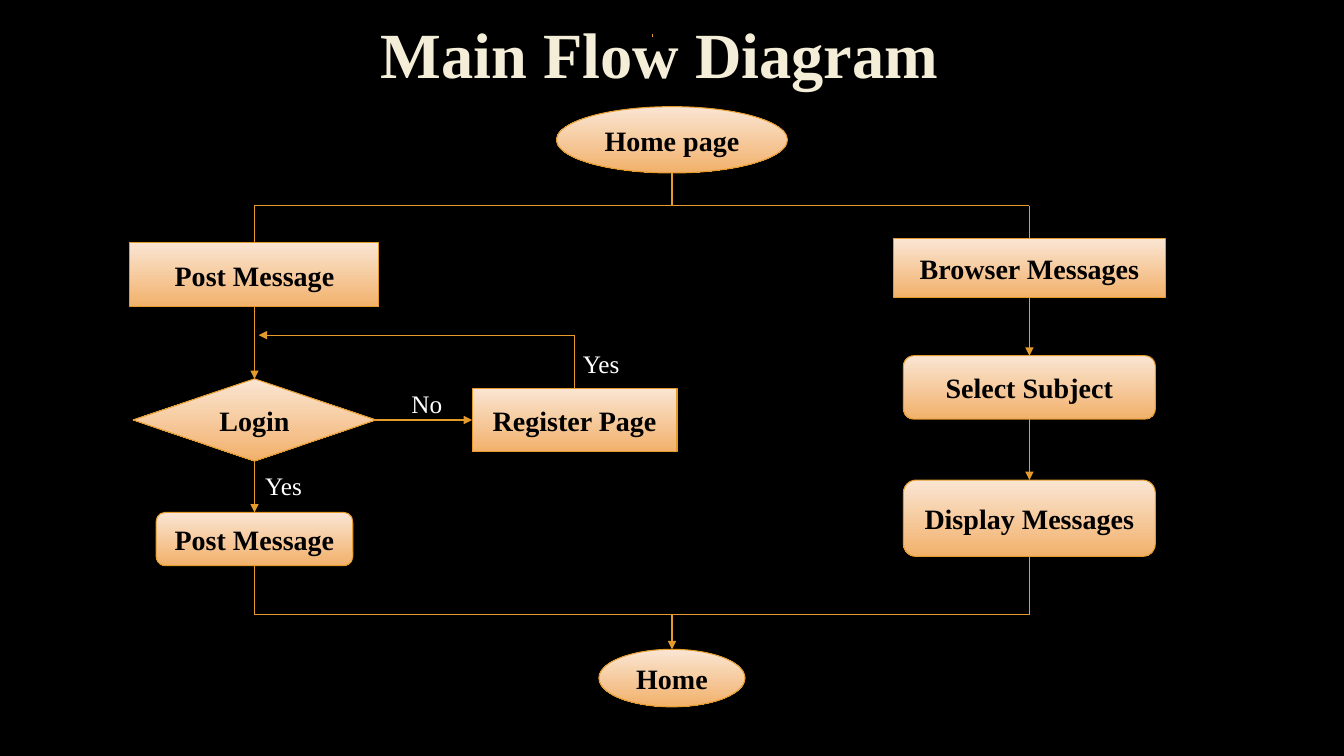
from dataclasses import dataclass

from pptx import Presentation
from pptx.dml.color import RGBColor
from pptx.enum.shapes import MSO_CONNECTOR, MSO_SHAPE
from pptx.enum.text import MSO_ANCHOR, MSO_AUTO_SIZE, PP_ALIGN
from pptx.oxml.ns import qn
from pptx.util import Inches, Pt
from lxml import etree

STRAIGHT = MSO_CONNECTOR.STRAIGHT
OVAL, RECTANGLE = MSO_SHAPE.OVAL, MSO_SHAPE.RECTANGLE
ROUNDED, DIAMOND = MSO_SHAPE.ROUNDED_RECTANGLE, MSO_SHAPE.DIAMOND
MIDDLE, CENTER, LEFT_ALIGN = MSO_ANCHOR.MIDDLE, PP_ALIGN.CENTER, PP_ALIGN.LEFT
NO_AUTOFIT = MSO_AUTO_SIZE.NONE
TOP, LEFT, BOTTOM, RIGHT = range(4)
TITLE_ONLY = 5
COLUMNS, ROWS = 160, 90
WIDTH, HEIGHT = Inches(13.33), Inches(7.5)


@dataclass(frozen=True)
class Theme:
    font: str = "Times New Roman"
    background: str = "000000"
    title: str = "F4EDD8"
    node_text: str = "000000"
    label: str = "FFFFFF"
    line: str = "E59B2C"
    gradient: tuple = ("FAE5D3", "F2B16B")
    title_size: int = 46
    node_size: int = 20
    label_size: int = 18
    line_width: float = 0.75


THEME = Theme()


@dataclass(frozen=True)
class Box:
    left: float
    top: float
    width: float
    height: float

    def point(self, column, row):
        return (round((self.left + column) * WIDTH / COLUMNS),
                round((self.top + row) * HEIGHT / ROWS))

    def area(self, column, row, width, height):
        left, top = self.point(column, row)
        right, bottom = self.point(column + width, row + height)
        return left, top, right - left, bottom - top


def write(shape, text, size, color, bold=True, alignment=CENTER):
    paragraph = shape.text_frame.paragraphs[0]
    paragraph.alignment = alignment
    run = paragraph.add_run()
    run.text = text
    run.font.name = THEME.font
    run.font.size = Pt(size)
    run.font.bold = bold
    run.font.color.rgb = RGBColor.from_string(color)
    return paragraph


def add_node(slide, box, kind, text, center, top, width, height):
    area = box.area(center - width / 2, top, width, height)
    shape = slide.shapes.add_shape(kind, *area)
    shape.shadow.inherit = False
    shape.fill.gradient()
    shape.fill.gradient_angle = 270
    for position, (stop, color) in enumerate(zip(shape.fill.gradient_stops, THEME.gradient)):
        stop.position = position
        stop.color.rgb = RGBColor.from_string(color)
    shape.line.color.rgb = RGBColor.from_string(THEME.line)
    shape.line.width = Pt(THEME.line_width)
    shape.text_frame.vertical_anchor = MIDDLE
    write(shape, text, THEME.node_size, THEME.node_text)
    return shape


def add_label(slide, box, text, column, row):
    shape = slide.shapes.add_textbox(*box.area(column, row, 10.7, 4.8))
    shape.text_frame.word_wrap = True
    write(shape, text, THEME.label_size, THEME.label, False, LEFT_ALIGN)


def add_line(slide, start, end, arrow=False):
    connector = slide.shapes.add_connector(STRAIGHT, *start, *end)
    connector.line.color.rgb = RGBColor.from_string(THEME.line)
    connector.line.width = Pt(THEME.line_width)
    if arrow:
        etree.SubElement(connector.line._get_or_add_ln(), qn("a:tailEnd"), type="triangle")
    etree.SubElement(connector._element.spPr, qn("a:effectLst"))
    return connector


def join(slide, source, source_side, target, target_side):
    connector = add_line(slide, (0, 0), (0, 0), arrow=True)
    connector.begin_connect(source, source_side)
    connector.end_connect(target, target_side)


def add_title(slide, box):
    title = slide.shapes.title
    title.left, title.top, title.width, title.height = box.area(0, 0, box.width, box.height)
    title.text_frame.vertical_anchor = MIDDLE
    title.text_frame.auto_size = NO_AUTOFIT
    paragraph = write(title, "Main Flow Diagram", THEME.title_size, THEME.title)
    paragraph.line_spacing = 0.9
    add_line(slide, box.point(67.1, 5.5), box.point(67.1, 5.75))


def add_trunk(slide, box):
    center, split, merge = 49.7, 11.8, 60.5
    add_node(slide, box, OVAL, "Home page", center, 0, 27.5, 7.9)
    add_node(slide, box, OVAL, "Home", center, 64.6, 17.4, 6.85)
    add_line(slide, box.point(center, 7.9), box.point(center, split))
    add_line(slide, box.point(center, merge), box.point(center, 64.6), arrow=True)
    for row in (split, merge):
        add_line(slide, box.point(0, row), box.point(box.width, row))


def link_to_trunk(slide, box, center, first, last):
    entry = add_line(slide, box.point(center, 0), box.point(center, 0))
    entry.end_connect(first, TOP)
    leaving = add_line(slide, box.point(center, box.height), box.point(center, box.height))
    leaving.begin_connect(last, BOTTOM)


def add_post_branch(slide, box):
    center, register_center, return_row = 14.8, 52.9, 15.4
    post = add_node(slide, box, RECTANGLE, "Post Message", center, 4.4, 29.65, 7.65)
    login = add_node(slide, box, DIAMOND, "Login", center, 20.6, 28.9, 9.8)
    register = add_node(slide, box, RECTANGLE, "Register Page", register_center, 21.7, 24.4, 7.6)
    done = add_node(slide, box, ROUNDED, "Post Message", center, 36.5, 23.4, 6.35)
    join(slide, post, BOTTOM, login, TOP)
    join(slide, login, RIGHT, register, LEFT)
    join(slide, login, BOTTOM, done, TOP)
    corner = box.point(register_center, return_row)
    riser = add_line(slide, corner, corner)
    riser.begin_connect(register, TOP)
    add_line(slide, corner, box.point(center + 0.5, return_row), arrow=True)
    for text, column, row in (("Yes", 14.9, 30.95), ("Yes", 52.7, 16.4), ("No", 32.3, 21.2)):
        add_label(slide, box, text, column, row)
    link_to_trunk(slide, box, center, post, done)


def add_browse_branch(slide, box):
    center = box.width / 2
    browse = add_node(slide, box, RECTANGLE, "Browser Messages", center, 3.95, box.width, 6.95)
    select = add_node(slide, box, ROUNDED, "Select Subject", center, 17.85, 30, 7.55)
    display = add_node(slide, box, ROUNDED, "Display Messages", center, 32.65, 30, 9.1)
    join(slide, browse, BOTTOM, select, TOP)
    join(slide, select, BOTTOM, display, TOP)
    link_to_trunk(slide, box, center, browse, display)


def main():
    presentation = Presentation()
    presentation.slide_width, presentation.slide_height = WIDTH, HEIGHT
    slide = presentation.slides.add_slide(presentation.slide_layouts[TITLE_ONLY])
    slide.background.fill.solid()
    slide.background.fill.fore_color.rgb = RGBColor.from_string(THEME.background)
    add_title(slide, Box(10.55, -1.4, 135.9, 16.5))
    add_trunk(slide, Box(30.3, 12.7, 92.25, 71.5))
    add_post_branch(slide, Box(15.5, 24.5, 65.1, 48.7))
    add_browse_branch(slide, Box(106.4, 24.5, 32.3, 48.7))
    presentation.save("out.pptx")


if __name__ == "__main__":
    main()
